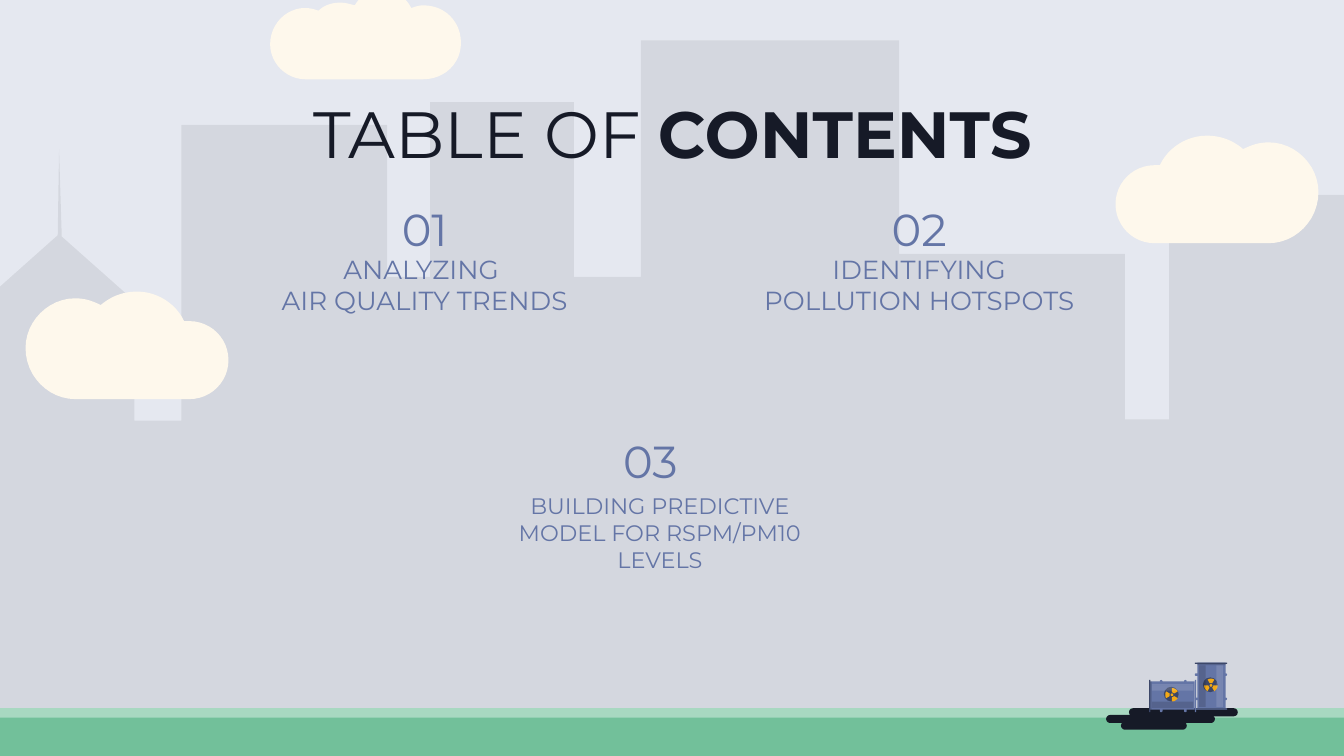
from math import cos, radians, sin

from lxml.etree import SubElement
from pptx import Presentation
from pptx.dml.color import RGBColor
from pptx.enum.shapes import MSO_SHAPE as Shape
from pptx.enum.text import MSO_ANCHOR as Anchor, PP_ALIGN as Align
from pptx.oxml.ns import qn
from pptx.util import Cm, Pt

SKY = RGBColor(0xE5, 0xE8, 0xF0)
BLACK = RGBColor(0, 0, 0)
WHITE = RGBColor(255, 255, 255)
CREAM = RGBColor(0xFE, 0xF8, 0xEC)
MINT = RGBColor(0xA8, 0xD8, 0xC1)
GREEN = RGBColor(0x72, 0xC0, 0x9A)
INK = RGBColor(0x16, 0x1A, 0x27)
BLUE = RGBColor(0x64, 0x75, 0xA6)
NAVY = RGBColor(0x3C, 0x47, 0x68)
AMBER = RGBColor(0xF3, 0xA9, 0x16)
FONT = "Montserrat"

# Outlines in inches: pairs are line ends, sextets are Bezier curves
SKYLINE = [
    (4.77, 0.3), (4.77, 2.06), (4.27, 2.06), (4.27, 0.76), (3.2, 0.76),
    (3.2, 2.06), (2.88, 2.06), (2.88, 0.93), (1.35, 0.93), (1.35, 3.13),
    (1, 3.13), (1, 2.24), (0.46, 1.76), (0.44, 1.11), (0.43, 1.75),
    (-0.12, 2.24), (-0.12, 3.13), (-0.59, 3.13), (-0.59, 2.3), (-2.06, 2.3),
    (-2.06, 5.39), (10, 5.39), (10, 1.45), (8.7, 1.45), (8.7, 3.12),
    (8.37, 3.12), (8.37, 1.89), (6.69, 1.89), (6.69, 0.3),
]
TOP_CLOUD = [
    (2.84, -0.08), (2.75, -0.08, 2.68, -0.03, 2.64, 0.04),
    (2.6, 0.03, 2.57, 0.02, 2.53, 0.02), (2.47, 0.02, 2.41, 0.04, 2.37, 0.08),
    (2.34, 0.07, 2.31, 0.06, 2.27, 0.06), (2.13, 0.06, 2.01, 0.18, 2.01, 0.33),
    (2.01, 0.47, 2.13, 0.59, 2.27, 0.59), (3.15, 0.59),
    (3.31, 0.59, 3.43, 0.47, 3.43, 0.32), (3.43, 0.16, 3.31, 0.04, 3.15, 0.04),
    (3.12, 0.04, 3.09, 0.05, 3.06, 0.06), (3.02, -0.02, 2.94, -0.08, 2.84, -0.08),
]
RIGHT_CLOUD = [
    (8.98, 1.01), (8.83, 1.01, 8.69, 1.1, 8.63, 1.23),
    (8.61, 1.23, 8.6, 1.23, 8.59, 1.23), (8.43, 1.23, 8.3, 1.36, 8.3, 1.52),
    (8.3, 1.68, 8.43, 1.81, 8.59, 1.81), (9.44, 1.81),
    (9.64, 1.81, 9.81, 1.64, 9.81, 1.43), (9.81, 1.23, 9.64, 1.06, 9.44, 1.06),
    (9.37, 1.06, 9.31, 1.08, 9.25, 1.11), (9.18, 1.05, 9.09, 1.01, 8.98, 1.01),
]

BARREL_LENGTH, BARREL_WIDTH = 0.34, 0.21


def inches(value):
    return Cm(value * 2.54)


def paint(shape, color, opacity=100):
    shape.shadow.inherit = False
    shape.line.fill.background()
    shape.fill.solid()
    shape.fill.fore_color.rgb = color
    if opacity < 100:
        color_element = shape._element.spPr.find(".//" + qn("a:srgbClr"))
        SubElement(color_element, qn("a:alpha")).set("val", str(opacity * 1000))


def add_preset(slide, kind, box, color, opacity=100):
    shape = slide.shapes.add_shape(kind, *map(inches, box))
    if kind == Shape.ROUNDED_RECTANGLE:
        shape.adjustments[0] = 0.5
    paint(shape, color, opacity)


def flatten(outline, steps=12):
    """Turn the curves of an outline into short straight lines."""
    points = [outline[0]]
    for segment in outline[1:]:
        if len(segment) == 2:
            points.append(segment)
            continue
        controls = (points[-1], segment[:2], segment[2:4], segment[4:])
        for step in range(1, steps + 1):
            t = step / steps
            weights = ((1 - t) ** 3, 3 * t * (1 - t) ** 2, 3 * t * t * (1 - t), t ** 3)
            points.append(tuple(sum(w * c[axis] for w, c in zip(weights, controls))
                                for axis in (0, 1)))
    return points


def add_outline(slide, points, color, opacity=100):
    corners = [(inches(x), inches(y)) for x, y in points]
    builder = slide.shapes.build_freeform(*corners[0])
    builder.add_line_segments(corners[1:], close=True)
    paint(builder.convert_to_shape(), color, opacity)


def add_text(slide, box, lines, size, color, anchor=Anchor.TOP):
    """Each line is a list of (text, bold) runs."""
    frame = slide.shapes.add_textbox(*map(inches, box)).text_frame
    frame.word_wrap = True
    frame.vertical_anchor = anchor
    frame.margin_left = frame.margin_right = inches(0.1)
    frame.margin_top = frame.margin_bottom = inches(0.1)
    paragraph = frame.paragraphs[0]
    paragraph.alignment = Align.CENTER
    for index, line in enumerate(lines):
        if index:
            paragraph.add_line_break()
        for text, bold in line:
            run = paragraph.add_run()
            run.text = text
            run.font.name = FONT
            run.font.size = Pt(size)
            run.font.bold = bold
            run.font.color.rgb = color


def add_radiation_sign(slide, x, y, first_angle):
    add_preset(slide, Shape.OVAL, (x - 0.06, y - 0.06, 0.11, 0.11), NAVY)
    for blade in range(3):
        middle = first_angle + 120 * blade
        arc = [(0.05, middle + turn) for turn in range(-30, 31, 10)]
        edge = [(0.02, middle + 30), (0.02, middle - 30)]
        add_outline(slide, [(x + radius * cos(radians(angle)), y + radius * sin(radians(angle)))
                            for radius, angle in arc + edge], AMBER)
    add_preset(slide, Shape.OVAL, (x - 0.01, y - 0.01, 0.02, 0.02), AMBER)


def add_barrel(slide, left, top, lying):
    def add_part(along, across, length, width, color, opacity=100, kind=Shape.RECTANGLE):
        if lying:
            box = (left + along, top + BARREL_WIDTH - across - width, length, width)
        else:
            box = (left + across, top + along, width, length)
        add_preset(slide, kind, box, color, opacity)

    # Body and rims
    add_part(0, 0, BARREL_LENGTH, BARREL_WIDTH, BLUE)
    add_part(0.01, 0, 0.01, BARREL_WIDTH, BLACK, 15)
    add_part(0, -0.02, 0.01, 0.24, NAVY)
    add_part(BARREL_LENGTH, -0.02, 0.01, 0.24, BLUE)

    if lying:
        add_radiation_sign(slide, left + 0.17, top + 0.1, 180)
    else:
        add_radiation_sign(slide, left + 0.1, top + 0.17, -90)

    # Rings, then shade and shine along the body
    for along in (0.08, 0.26):
        add_part(along, -0.02, 0.02, 0.24, BLUE, kind=Shape.ROUNDED_RECTANGLE)
    for across, width, color, opacity in ((0.01, 0.05, BLACK, 15), (0.14, 0.04, WHITE, 13),
                                          (0.18, 0.01, WHITE, 13)):
        add_part(0.02, across, 0.31, width, color, opacity)


def add_scenery(slide):
    add_outline(slide, SKYLINE, BLACK, 7)
    add_outline(slide, flatten(TOP_CLOUD), CREAM)
    for top, height, color in ((5.27, 0.36, MINT), (5.34, 0.29, GREEN)):
        add_preset(slide, Shape.RECTANGLE, (-2.43, top, 12.79, height), color)


def add_contents(slide):
    sections = [
        ((1.84, 1.4), "01", (1.84, 1.84), ["ANALYZING ", "AIR QUALITY TRENDS"], 14),
        ((5.52, 1.4), "02", (5.52, 1.84), ["IDENTIFYING POLLUTION HOTSPOTS"], 14),
        ((3.52, 3.13), "03", (3.59, 3.75),
         ["BUILDING PREDICTIVE MODEL FOR RSPM/PM10 LEVELS"], 12),
    ]
    size = (2.64, 0.61)
    for number_at, number, name_at, name, points in sections:
        add_text(slide, name_at + size, [[(line, False)] for line in name],
                 points, BLUE, Anchor.BOTTOM)
        add_text(slide, number_at + size, [[(number, False)]], 24, BLUE)
    add_text(slide, (0.79, 0.59, 8.43, 0.74),
             [[("TABLE OF ", False), ("CONTENTS", True)]], 35, INK)


def add_waste(slide):
    for left, top, width in ((8.4, 5.27, 0.81), (8.23, 5.32, 0.81), (8.34, 5.37, 0.49)):
        add_preset(slide, Shape.ROUNDED_RECTANGLE, (left, top, width, 0.06), INK)
    add_barrel(slide, 8.91, 4.93, lying=False)
    add_barrel(slide, 8.55, 5.07, lying=True)


def main():
    # Widescreen slide, 16 to 9
    presentation = Presentation()
    presentation.slide_width = Cm(25.4)
    presentation.slide_height = Cm(25.4 * 9 / 16)
    slide = presentation.slides.add_slide(presentation.slide_layouts[6])
    slide.background.fill.solid()
    slide.background.fill.fore_color.rgb = SKY

    add_scenery(slide)
    add_contents(slide)
    add_waste(slide)

    # The left cloud mirrors the right one, lower down
    cloud = flatten(RIGHT_CLOUD)
    add_outline(slide, cloud, CREAM)
    add_outline(slide, [(10 - x, y + 1.16) for x, y in cloud], CREAM)
    presentation.save("out.pptx")


if __name__ == "__main__":
    main()
